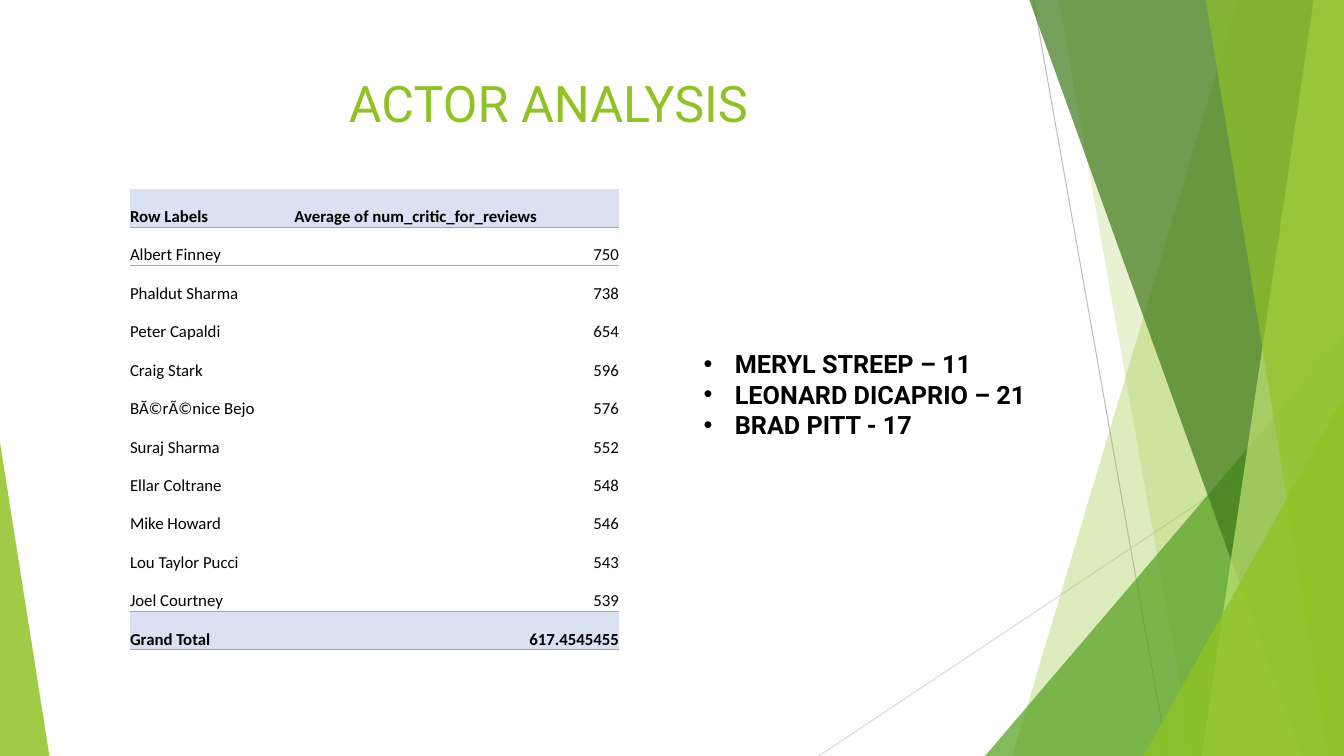
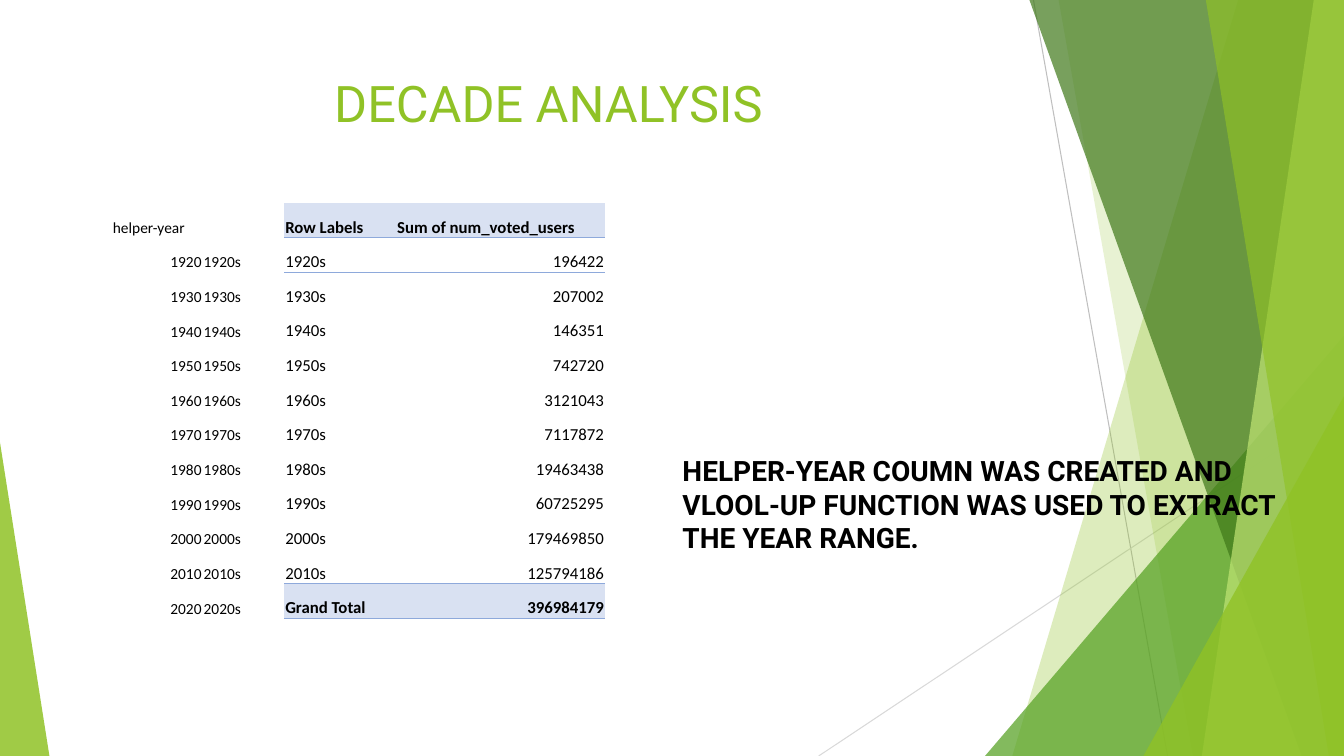
"""Build the actor and decade analysis slides."""
from lxml.etree import SubElement
from pptx import Presentation
from pptx.dml.color import RGBColor
from pptx.enum.shapes import MSO_CONNECTOR, MSO_SHAPE
from pptx.enum.text import MSO_ANCHOR, PP_ALIGN
from pptx.oxml.ns import qn
from pptx.util import Emu, Pt

SCALE = 9144
WIDTH, HEIGHT = 1333, 750
COLORS = {
    "lime": "90C226", "green": "54A021", "forest": "3F7819", "pale": "C0E474",
    "rule": "BFBFBF", "faint": "D9D9D9", "ink": "000000",
    "band": "D9E1F2", "border": "8EA9DB",
}
NO_STYLE = "{2D5ABB26-0587-4C30-8999-92F81FD0307C}"

ACTORS = [
    ("Row Labels", "Average of num_critic_for_reviews"),
    ("Albert Finney", "750"),
    ("Phaldut Sharma", "738"),
    ("Peter Capaldi", "654"),
    ("Craig Stark", "596"),
    ("BÃ©rÃ©nice Bejo", "576"),
    ("Suraj Sharma", "552"),
    ("Ellar Coltrane", "548"),
    ("Mike Howard", "546"),
    ("Lou Taylor Pucci", "543"),
    ("Joel Courtney", "539"),
    ("Grand Total", "617.4545455"),
]
VOTES = ["196422", "207002", "146351", "742720", "3121043", "7117872",
         "19463438", "60725295", "179469850", "125794186"]
YEARS = range(1920, 2021, 10)
DECADES = [
    ("Row Labels", "Sum of num_voted_users"),
    *((f"{year}s", votes) for year, votes in zip(YEARS, VOTES)),
    ("Grand Total", "396984179"),
]
HELPERS = [("helper-year", ""), *((str(year), f"{year}s") for year in YEARS)]


def px(length):
    return Emu(length * SCALE)


def color(name):
    return RGBColor.from_string(COLORS[name])


def write(frame, text, size=12, font="Calibri", ink="ink", bold=False,
          align=PP_ALIGN.LEFT, bullet=None, indent=0):
    for index, line in enumerate(text.split("\n")):
        para = frame.add_paragraph() if index else frame.paragraphs[0]
        para.alignment = align
        span = para.add_run()
        span.text = line
        span.font.size = Pt(size)
        span.font.name = font
        span.font.bold = bold
        span.font.color.rgb = color(ink)
        if bullet:
            props = para._p.get_or_add_pPr()
            props.set("marL", str(px(indent)))
            props.set("indent", str(-px(indent)))
            SubElement(props, qn("a:buFont"), typeface="Arial")
            SubElement(props, qn("a:buChar"), char=bullet)


class Deck:
    def __init__(self):
        self.deck = Presentation()
        self.deck.slide_width = px(WIDTH)
        self.deck.slide_height = px(HEIGHT)
        self.page = None

    def add_page(self, title):
        self.page = self.deck.slides.add_slide(self.deck.slide_layouts[6])
        self.facets()
        self.text(74, 67, 940, 144, title, size=36, ink="lime", align=PP_ALIGN.CENTER)

    def facets(self):
        self.line(1025, 0, 1158, HEIGHT, "rule")
        self.line(WIDTH, 403, 812, HEIGHT, "faint")
        self.facet(1228, 1004, "lime", 30)
        self.facet(1050, 1183, "lime", 20)
        self.triangle(977, 333, 356, 1, "green", 72)
        self.facet(1021, 1291, "forest", 70)
        self.facet(1303, 1192, "pale", 70)
        self.facet(1196, 1318, "lime", 65)
        self.triangle(1134, 393, 199, 1, "lime", 80)
        self.triangle(0, 439, 49, 0, "lime", 85)

    def line(self, x1, y1, x2, y2, ink):
        line = self.page.shapes.add_connector(
            MSO_CONNECTOR.STRAIGHT, px(x1), px(y1), px(x2), px(y2))
        line.line.color.rgb = color(ink)
        line.line.width = Pt(0.75)
        SubElement(line._element.spPr, qn("a:effectLst"))

    def facet(self, top_x, bottom_x, fill, opacity):
        outline = self.page.shapes.build_freeform(top_x, 0, scale=SCALE)
        outline.add_line_segments([(WIDTH, 0), (WIDTH, HEIGHT), (bottom_x, HEIGHT)])
        self.paint(outline.convert_to_shape(), fill, opacity)

    def triangle(self, left, top, width, apex, fill, opacity):
        shape = self.page.shapes.add_shape(
            MSO_SHAPE.ISOSCELES_TRIANGLE, px(left), px(top), px(width), px(HEIGHT - top))
        shape.adjustments[0] = apex
        self.paint(shape, fill, opacity)

    def paint(self, shape, fill, opacity):
        shape.shadow.inherit = False
        shape.line.fill.background()
        shape.fill.solid()
        shape.fill.fore_color.rgb = color(fill)
        tint = shape._element.spPr.find(qn("a:solidFill"))[0]
        SubElement(tint, qn("a:alpha"), val=str(opacity * 1000))

    def text(self, left, top, width, height, text, **style):
        box = self.page.shapes.add_textbox(px(left), px(top), px(width), px(height))
        box.text_frame.word_wrap = True
        write(box.text_frame, text, font="Roboto", **style)

    def pivot(self, left, top, height, widths, rows, helpers=(), inset=0):
        count = len(rows) + 2
        frame = self.page.shapes.add_table(
            count, len(widths), px(left), px(top), px(sum(widths)), px(height))
        table = frame.table
        table.first_row = table.horz_banding = False
        table._tbl.tblPr.find(qn("a:tableStyleId")).text = NO_STYLE
        for column, width in zip(table.columns, widths):
            column.width = px(width)
        for row in table.rows:
            row.height = Emu(px(height) // count)
        for cell in table.iter_cells():
            cell.margin_left = cell.margin_right = cell.margin_top = px(inset)
            cell.margin_bottom = 0
            cell.vertical_anchor = MSO_ANCHOR.BOTTOM
            cell.fill.background()
        last = len(rows)
        edges = {1: "a:lnB", 2: "a:lnT", last - 1: "a:lnB", last: "a:lnT"}
        first = len(widths) - 3
        for index, values in enumerate(rows, 1):
            banded = index in (1, last)
            for column, value in enumerate(values, first):
                cell = table.cell(index, column)
                self.value(cell, value, 12, banded)
                if banded:
                    cell.fill.solid()
                    cell.fill.fore_color.rgb = color("band")
                if index in edges:
                    self.border(cell, edges[index])
        for index, values in enumerate(helpers, 1):
            for column, value in enumerate(values, 1):
                if value:
                    self.value(table.cell(index, column), value, 11, False)

    def value(self, cell, value, size, bold):
        number = value.replace(".", "").isdigit()
        write(cell.text_frame, value, size=size, bold=bold,
              align=PP_ALIGN.RIGHT if number else PP_ALIGN.LEFT)

    def border(self, cell, edge):
        props = cell._tc.get_or_add_tcPr()
        line = SubElement(props, qn(edge), w=str(Pt(0.5)))
        fill = SubElement(line, qn("a:solidFill"))
        SubElement(fill, qn("a:srgbClr"), val=COLORS["border"])
        props.insert(0, line)


def main():
    slides = Deck()

    slides.add_page("ACTOR ANALYSIS")
    slides.pivot(37, 149, 534, [92, 163, 322, 92], ACTORS)
    slides.text(688, 341, 355, 101,
                "MERYL STREEP – 11\nLEONARD DICAPRIO – 21\nBRAD PITT - 17",
                size=18, bold=True, bullet="•", indent=31)

    slides.add_page("DECADE ANALYSIS")
    slides.pivot(0, 167, 481, [111, 90, 81, 111, 207, 81], DECADES, HELPERS, inset=1)
    slides.text(667, 445, 615, 111,
                "HELPER-YEAR COUMN WAS CREATED AND\n"
                "VLOOL-UP FUNCTION WAS USED TO EXTRACT\n"
                "THE YEAR RANGE.",
                size=20, bold=True)

    slides.deck.save("out.pptx")


if __name__ == "__main__":
    main()
